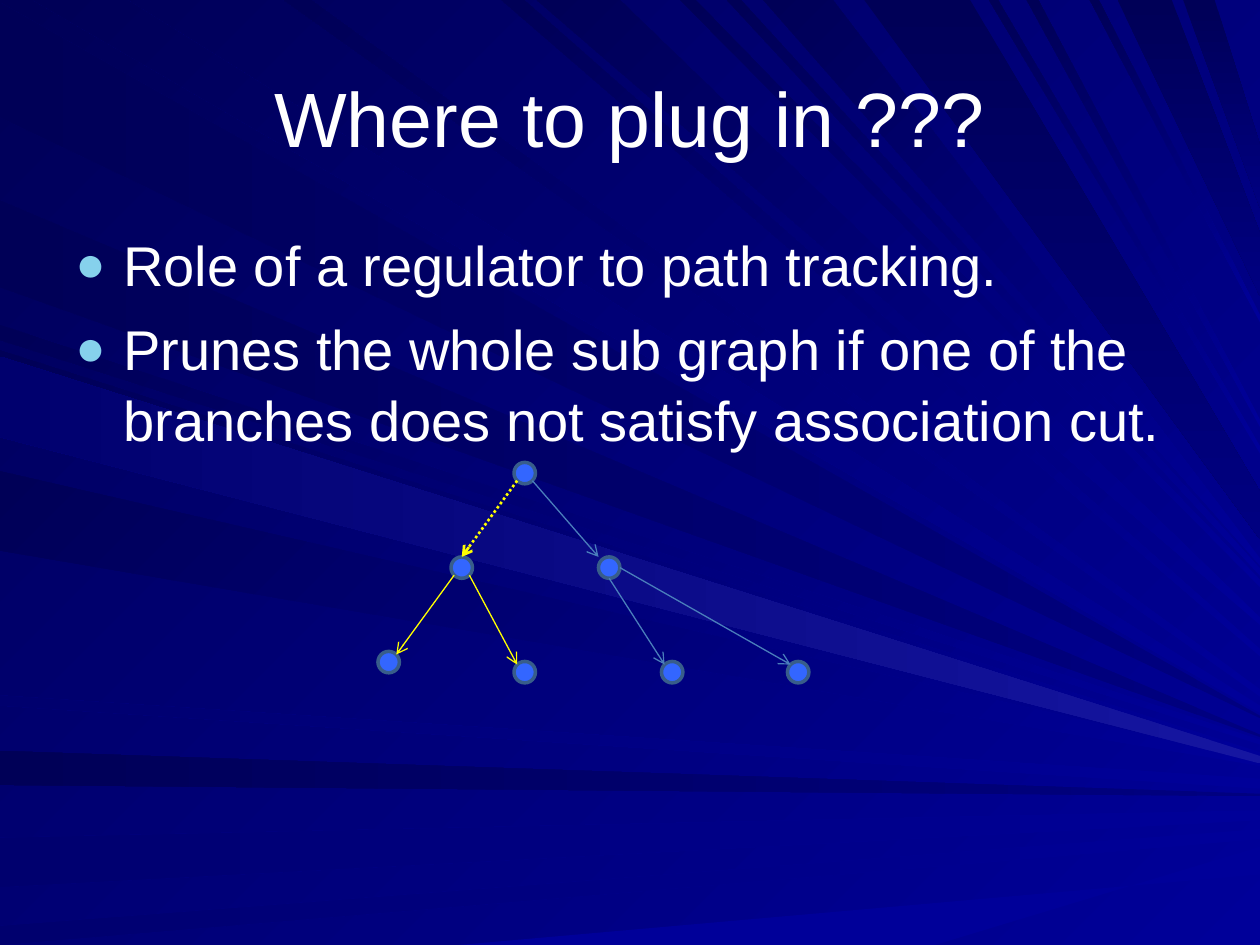
from lxml import etree
from pptx import Presentation
from pptx.dml.color import RGBColor
from pptx.enum.dml import MSO_LINE
from pptx.enum.shapes import MSO_CONNECTOR, MSO_SHAPE
from pptx.enum.text import MSO_ANCHOR, PP_ALIGN
from pptx.oxml.ns import qn
from pptx.util import Inches, Pt

STRAIGHT, OVAL = MSO_CONNECTOR.STRAIGHT, MSO_SHAPE.OVAL
DOTTED = MSO_LINE.ROUND_DOT
CENTER, LEFT = PP_ALIGN.CENTER, PP_ALIGN.LEFT
TOP, MIDDLE = MSO_ANCHOR.TOP, MSO_ANCHOR.MIDDLE

WHITE = RGBColor(0xFF, 0xFF, 0xFF)
YELLOW = RGBColor(0xFF, 0xFF, 0x00)
STEEL = RGBColor(0x4A, 0x7E, 0xBB)
NODE_FILL = RGBColor(0x33, 0x66, 0xFF)
NODE_LINE = RGBColor(0x38, 0x5D, 0x8A)
BULLET = RGBColor(0x86, 0xD1, 0xEC)
BLUE = RGBColor(0x00, 0x00, 0x99)
NAVY = RGBColor(0x00, 0x00, 0x80)
DEEP = RGBColor(0x00, 0x00, 0x6E)
DARK = RGBColor(0x00, 0x00, 0x57)
GLOW = RGBColor(0x16, 0x16, 0xA1)

FONT = "Arial"
PAGE_WIDTH, PAGE_HEIGHT = 10, 7.5
NODE_SIZE = 0.17
DIAGONAL = 0.71

# Each ray: two places on the edge it leaves, then its height at the right edge
RAY_GROUPS = [
    {"edge": "left", "colours": (NAVY, DARK), "angle": 180, "tip": 0.01,
     "rays": [(0.02, 0.93, 5.69), (5.96, 6.23, 6.31), (1.59, 2.28, 5.84)]},
    {"edge": "left", "colours": (BLUE, DEEP), "angle": 180, "tip": 0.04,
     "rays": [(6.65, 7.04, 6.47), (7.35, 7.5, 6.62), (5.52, 5.6, 6.22)]},
    {"edge": "top", "colours": (BLUE, DARK), "angle": 225, "tip": 0.03,
     "rays": [(0.26, 1.01, 5.63), (3.98, 4.16, 5.18), (4.26, 4.92, 4.93),
              (5.4, 5.52, 4.63), (6.06, 6.61, 4.46)]},
    {"edge": "top", "colours": (DARK, NAVY), "angle": 90, "tip": 0.25,
     "rays": [(8.87, 9.3, 2.1), (9.39, 9.64, 1.4)]},
    {"edge": "left", "colours": (BLUE, DARK), "angle": 225, "tip": 0.02,
     "rays": [(2.58, 2.7, 5.89), (2.78, 3.42, 5.99), (3.74, 4.37, 6.06)]},
    {"edge": "top", "colours": (DARK, NAVY), "angle": 90, "tip": 0.19,
     "rays": [(6.86, 7.7, 4.09)]},
    {"edge": "top", "colours": (BLUE, DARK), "angle": 225, "tip": 0.03,
     "rays": [(2.25, 2.47, 5.5), (5.77, 5.88, 4.54), (7.85, 7.92, 3.57),
              (8.15, 8.24, 3.36), (8.65, 8.72, 2.53)]},
    {"edge": "left", "colours": (GLOW, DEEP), "angle": 180, "tip": 0.03,
     "rays": [(2.83, 3.47, 6.03)]},
    {"edge": "bottom", "colours": (BLUE, BLUE), "angle": 180, "tip": 0.11,
     "rays": [(7.42, 3.64, 6.83)]},
]

# Top left corner of each tree node
NODES = {
    "root": (4.08, 3.67),
    "left": (3.58, 4.42), "right": (4.75, 4.42),
    "leaf 1": (3, 5.17), "leaf 2": (4.08, 5.25),
    "leaf 3": (5.25, 5.25), "leaf 4": (6.25, 5.25),
}

# Sides of a node, in radii from its centre
UPPER_LEFT, UPPER_RIGHT = (-DIAGONAL, -DIAGONAL), (DIAGONAL, -DIAGONAL)
LOWER_LEFT, LOWER_RIGHT = (-DIAGONAL, DIAGONAL), (DIAGONAL, DIAGONAL)
ABOVE, BELOW, BESIDE, CORNER = (0, -1), (0, 1), (1, 0), (-1, -1)

THIN = {"width": Pt(0.75)}
THICK_DOTS = {"width": Pt(1.5), "dash_style": DOTTED}
BRANCHES = [
    ("root", LOWER_RIGHT, "right", CORNER, STEEL, THIN),
    ("root", LOWER_LEFT, "left", ABOVE, YELLOW, THICK_DOTS),
    ("left", LOWER_LEFT, "leaf 1", UPPER_RIGHT, YELLOW, THIN),
    ("left", LOWER_RIGHT, "leaf 2", UPPER_LEFT, YELLOW, THIN),
    ("right", BELOW, "leaf 3", UPPER_LEFT, STEEL, THIN),
    ("right", BESIDE, "leaf 4", UPPER_LEFT, STEEL, THIN),
]


def set_values(target, values):
    for name, value in values.items():
        setattr(target, name, value)


def paint(fill, colours, angle):
    """Fill with a gradient along a clockwise angle."""
    fill.gradient()
    fill.gradient_angle = 360 - angle
    for stop, colour in zip(fill.gradient_stops, colours):
        stop.color.rgb = colour


def add_ray(page, group, begin, end, height):
    """Draw a wedge from one page edge to its tip on the right edge."""
    starts = {
        "left": [(0, end), (0, begin)],
        "top": [(begin, 0), (end, 0)],
        "bottom": [(end, PAGE_HEIGHT), (begin, PAGE_HEIGHT)],
    }[group["edge"]]
    tips = [(PAGE_WIDTH, height - group["tip"]), (PAGE_WIDTH, height + group["tip"])]
    if group["edge"] == "bottom":
        starts.reverse()
        tips.reverse()
        starts.reverse()
        tips.reverse()
    first, *others = [(Inches(x), Inches(y)) for x, y in starts + tips]
    builder = page.shapes.build_freeform(*first)
    builder.add_line_segments(others, close=True)
    ray = builder.convert_to_shape()
    ray.shadow.inherit = False
    ray.line.fill.background()
    paint(ray.fill, group["colours"], group["angle"])


def add_bullet(para):
    props = para._p.get_or_add_pPr()
    props.set("marL", str(Inches(0.38)))
    props.set("indent", str(Inches(-0.38)))
    colour = etree.SubElement(props, qn("a:buClr"))
    etree.SubElement(colour, qn("a:srgbClr"), val=str(BULLET))
    etree.SubElement(props, qn("a:buSzPct"), val="90000")
    etree.SubElement(props, qn("a:buFont"), typeface=FONT)
    etree.SubElement(props, qn("a:buChar"), char="●")


def add_text(page, area, lines, size, anchor, para_format, bullets=False):
    box = page.shapes.add_textbox(*map(Inches, area))
    frame = box.text_frame
    set_values(frame, {"word_wrap": True, "vertical_anchor": anchor, "text": "\n".join(lines)})
    for para in frame.paragraphs:
        set_values(para, para_format)
        span = para.runs[0]
        set_values(span.font, {"name": FONT, "size": Pt(size)})
        span.font.color.rgb = WHITE
        if bullets:
            add_bullet(para)


def add_node(page, left, top):
    node = page.shapes.add_shape(OVAL, *map(Inches, (left, top, NODE_SIZE, NODE_SIZE)))
    node.shadow.inherit = False
    node.fill.solid()
    node.fill.fore_color.rgb = NODE_FILL
    node.line.color.rgb = NODE_LINE
    node.line.width = Pt(2)


def node_side(name, side):
    radius = NODE_SIZE / 2
    return [Inches(edge + radius * (1 + shift)) for edge, shift in zip(NODES[name], side)]


def add_branch(page, parent, parent_side, child, child_side, colour, line_format):
    branch = page.shapes.add_connector(
        STRAIGHT, *node_side(parent, parent_side), *node_side(child, child_side))
    branch.line.color.rgb = colour
    set_values(branch.line, line_format)
    etree.SubElement(branch.line._get_or_add_ln(), qn("a:tailEnd"), type="arrow")
    etree.SubElement(branch._element.spPr, qn("a:effectLst"))


def main():
    deck = Presentation()
    set_values(deck, {"slide_width": Inches(PAGE_WIDTH), "slide_height": Inches(PAGE_HEIGHT)})
    page = deck.slides.add_slide(deck.slide_layouts[6])
    paint(page.background.fill, (BLUE, DARK), 225)
    for group in RAY_GROUPS:
        for ray in group["rays"]:
            add_ray(page, group, *ray)
    add_text(page, (0.5, 0.3, 9, 1.25), ["Where to plug in ???"], 44, MIDDLE, {"alignment": CENTER})
    add_text(page, (0.5, 1.75, 9, 4.95), [
        "Role of a regulator to path tracking.",
        "Prunes the whole sub graph if one of the branches does not satisfy association cut.",
    ], 32, TOP, {"alignment": LEFT, "space_before": Pt(8), "line_spacing": 1.05}, bullets=True)
    for corner in NODES.values():
        add_node(page, *corner)
    for branch in BRANCHES:
        add_branch(page, *branch)
    deck.save("out.pptx")


if __name__ == "__main__":
    main()
